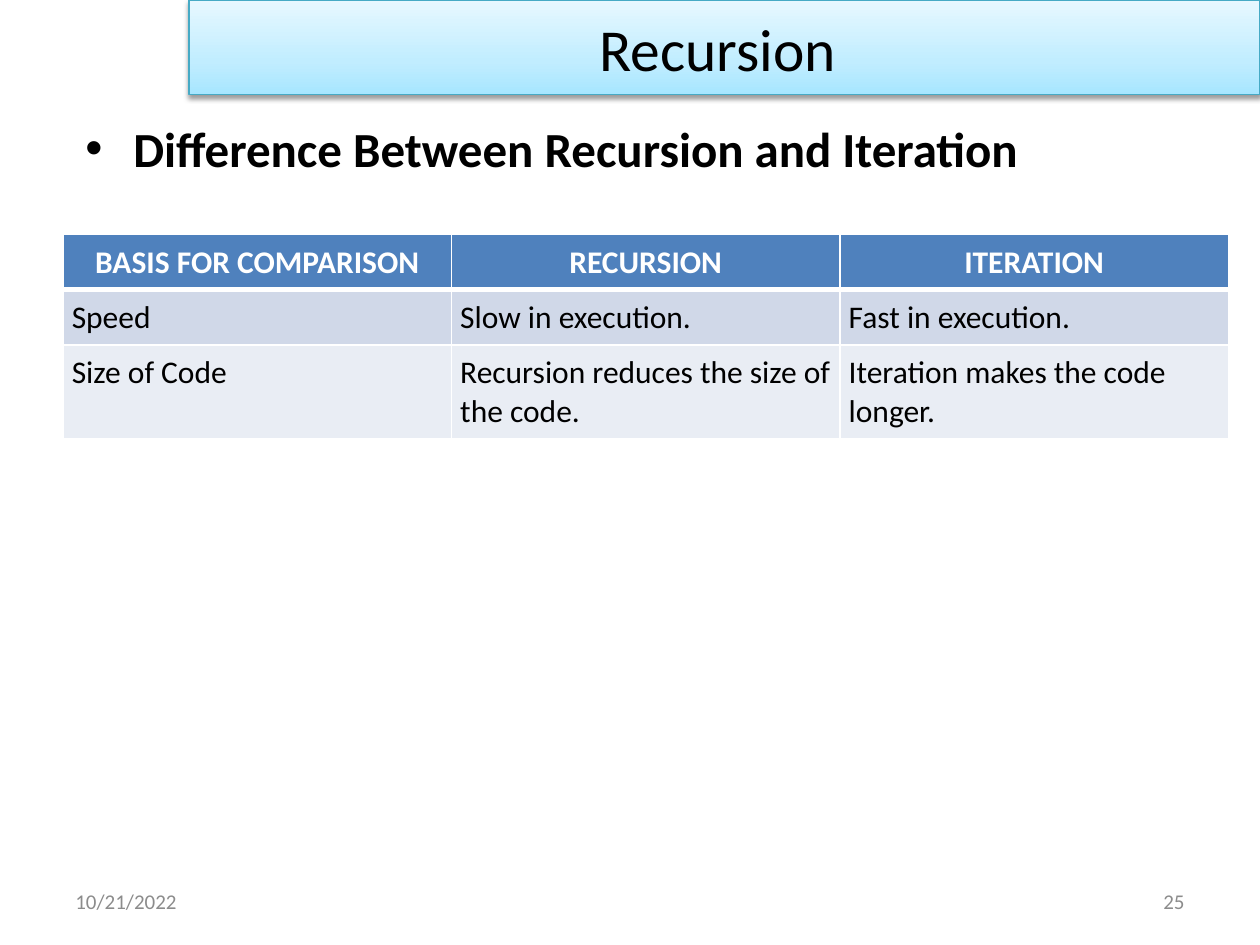
from lxml import etree
from pptx import Presentation
from pptx.dml.color import RGBColor
from pptx.enum.text import MSO_ANCHOR, MSO_AUTO_SIZE, PP_ALIGN
from pptx.oxml import parse_xml
from pptx.oxml.ns import nsdecls, qn
from pptx.util import Inches, Pt

LEFT, CENTER, RIGHT = PP_ALIGN.LEFT, PP_ALIGN.CENTER, PP_ALIGN.RIGHT
TOP, MIDDLE = MSO_ANCHOR.TOP, MSO_ANCHOR.MIDDLE
NO_AUTOFIT = MSO_AUTO_SIZE.NONE
TITLE_ONLY = 5
FONT = "Calibri"
BLACK, WHITE, GRAY = "000000", "FFFFFF", "8C8C8C"
HEADER_FILL = "4F81BD"
ROW_FILLS = ["D0D8E8", "E9EDF4"]
COMPARISON = [
    ["BASIS FOR COMPARISON", "RECURSION", "ITERATION"],
    ["Speed", "Slow in execution.", "Fast in execution."],
    ["Size of Code", "Recursion reduces the size of the code.",
     "Iteration makes the code longer."],
]


def color(value):
    return RGBColor.from_string(value)


def write_text(frame, text, size=18, fill=BLACK, bold=False, align=LEFT,
               anchor=TOP, bullet_indent=None):
    frame.word_wrap = True
    frame.vertical_anchor = anchor
    para = frame.paragraphs[0]
    para.alignment = align
    if bullet_indent is not None:
        properties = para._p.get_or_add_pPr()
        properties.set("marL", str(bullet_indent))
        properties.set("indent", str(-bullet_indent))
        etree.SubElement(properties, qn("a:buFont")).set("typeface", "Arial")
        etree.SubElement(properties, qn("a:buChar")).set("char", "•")
    span = para.add_run()
    span.text = text
    span.font.name = FONT
    span.font.size = Pt(size)
    span.font.bold = bold
    span.font.color.rgb = color(fill)


def add_text_box(page, box, text, **text_format):
    shape = page.shapes.add_textbox(*box)
    write_text(shape.text_frame, text, **text_format)


def place_title(page, box, text):
    title = page.shapes.title
    title.left, title.top, title.width, title.height = box
    # Gradient running from the bottom edge to the top
    stops = "".join(
        f'<a:gs pos="{place * 1000}"><a:srgbClr val="{tint}"/></a:gs>'
        for place, tint in [(0, "A7E6FF"), (35, "C1EDFF"), (100, "E7F8FF")])
    properties = title._element.spPr
    properties.append(parse_xml(
        f'<a:gradFill {nsdecls("a")} rotWithShape="1"><a:gsLst>{stops}</a:gsLst>'
        '<a:lin ang="16200000" scaled="0"/></a:gradFill>'))
    title.line.color.rgb = color("46AAC5")
    title.line.width = Pt(0.75)
    # Soft shadow below the banner
    properties.append(parse_xml(
        f'<a:effectLst {nsdecls("a")}><a:outerShdw blurRad="{Pt(3.1)}" '
        f'dist="{Pt(1.6)}" dir="5400000" rotWithShape="0"><a:srgbClr val="{BLACK}">'
        '<a:alpha val="38000"/></a:srgbClr></a:outerShdw></a:effectLst>'))
    title.text_frame.auto_size = NO_AUTOFIT
    write_text(title.text_frame, text, size=34, align=CENTER, anchor=MIDDLE)


def set_borders(cell, bottom_width):
    widths = {"lnL": 1, "lnR": 1, "lnT": 1, "lnB": bottom_width}
    for edge, width in widths.items():
        cell._tc.get_or_add_tcPr().append(parse_xml(
            f'<a:{edge} {nsdecls("a")} w="{Pt(width)}"><a:solidFill>'
            f'<a:srgbClr val="{WHITE}"/></a:solidFill></a:{edge}>'))


def add_comparison_table(page, box, rows, heights):
    table = page.shapes.add_table(len(rows), len(rows[0]), *box).table
    for row, height in zip(table.rows, heights):
        row.height = Inches(height)
    for row_number, texts in enumerate(rows):
        header = row_number == 0
        for column_number, text in enumerate(texts):
            cell = table.cell(row_number, column_number)
            set_borders(cell, bottom_width=3 if header else 1)
            cell.fill.solid()
            cell.fill.fore_color.rgb = color(
                HEADER_FILL if header else ROW_FILLS[(row_number - 1) % 2])
            cell.margin_left = cell.margin_right = Inches(0.07)
            cell.margin_top = cell.margin_bottom = Inches(0.07)
            write_text(cell.text_frame, text, bold=header,
                       fill=WHITE if header else BLACK,
                       align=CENTER if header else LEFT)
            cell.vertical_anchor = MIDDLE if header else TOP


def add_footer(page, box, date, number):
    left, top, width, height = box
    part = Inches(2.33)
    add_text_box(page, (left, top, part, height), date,
                 size=12, fill=GRAY, anchor=MIDDLE)
    add_text_box(page, (left + width - part, top, part, height), number,
                 size=12, fill=GRAY, align=RIGHT, anchor=MIDDLE)


def main():
    deck = Presentation()
    deck.slide_width, deck.slide_height = Inches(10), Inches(7.5)
    page = deck.slides.add_slide(deck.slide_layouts[TITLE_ONLY])
    # Title banner
    place_title(page, (Inches(1.5), 0, Inches(8.5), Inches(0.75)), "Recursion ")
    # Heading bullet
    add_text_box(page, (Inches(0.58), Inches(0.89), Inches(9), Inches(4.95)),
                 "Difference Between Recursion and Iteration",
                 size=28, bold=True, bullet_indent=Inches(0.38))
    # Comparison table
    add_comparison_table(
        page, (Inches(0.5), Inches(1.86), Inches(9.25), Inches(1.6)),
        COMPARISON, heights=[0.43, 0.43, 0.41])
    # Date and page number
    add_footer(page, (Inches(0.5), Inches(6.95), Inches(9), Inches(0.4)),
               "10/21/2022", "25")
    deck.save("out.pptx")


if __name__ == "__main__":
    main()
